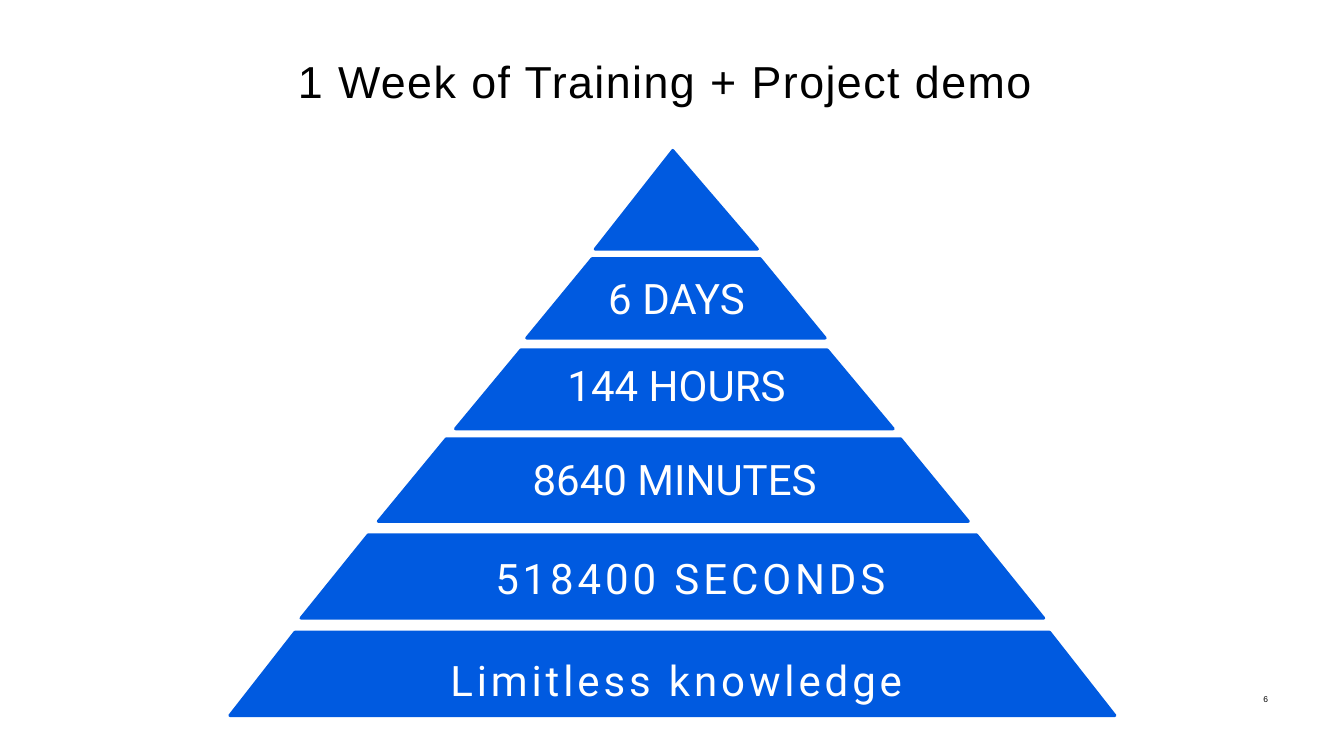
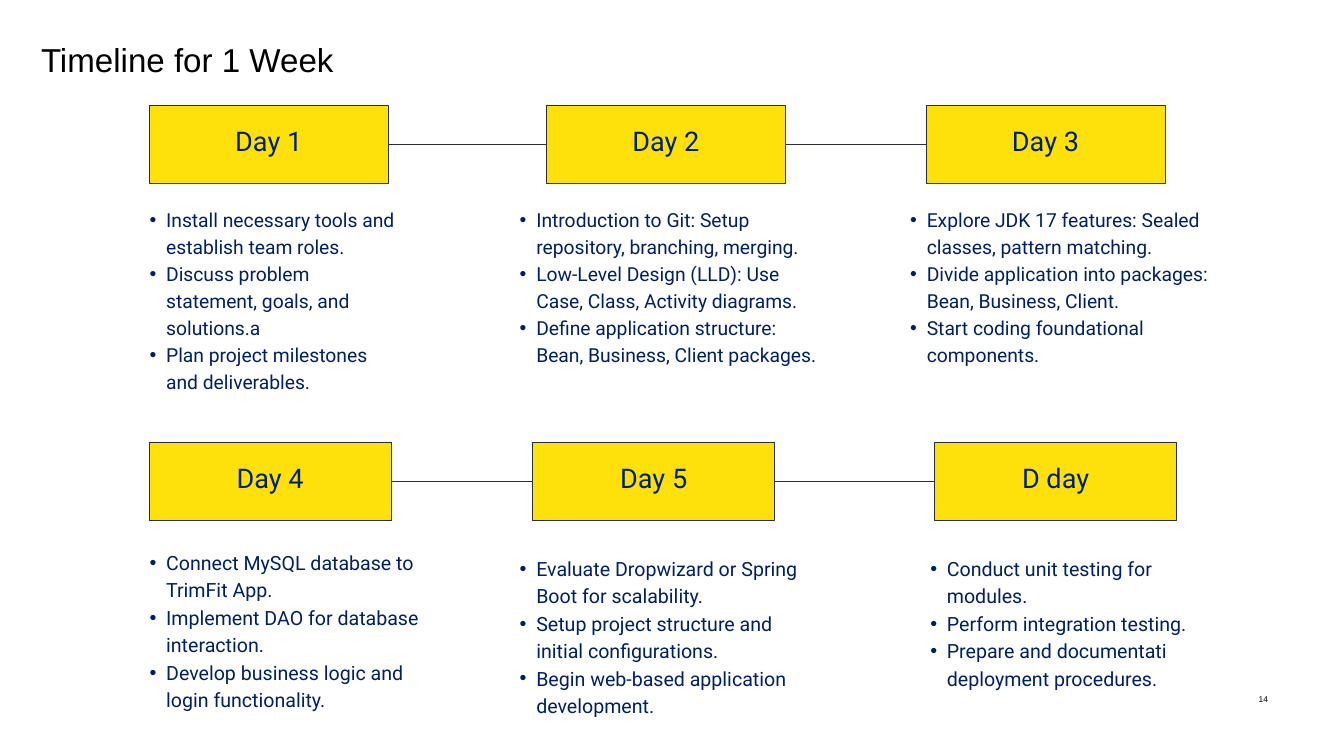
import copy

import lxml.etree
import pptx
import pptx.dml.color
import pptx.enum.shapes
import pptx.enum.text
import pptx.oxml.ns
import pptx.util

Cm, Pt = pptx.util.Cm, pptx.util.Pt
ALIGN = pptx.enum.text.PP_ALIGN
ANCHOR = pptx.enum.text.MSO_ANCHOR
qn = pptx.oxml.ns.qn

COLORS = {"black": "000000", "white": "FFFFFF", "blue": "005AE0",
          "yellow": "FEE10B", "navy": "002060", "line": "2A2E3A"}

# Top edge (left, right, y), then bottom edge (left, right, y), in cm
TIERS = [
    (25.43, 25.43, 5.69, 22.5, 28.63, 9.42),
    (22.38, 28.73, 9.78, 19.91, 31.19, 12.78),
    (19.69, 31.27, 13.23, 17.22, 33.76, 16.21),
    (16.87, 34.04, 16.59, 14.3, 36.6, 19.71),
    (13.92, 36.91, 20.22, 11.38, 39.45, 23.37),
    (11.15, 39.67, 23.9, 8.69, 42.14, 27.05),
]
# Text, centre, top, line height in points, letter spacing in points
TIER_LABELS = [
    ("6 DAYS", 25.57, 10.31, 54, 0),
    ("144 HOURS", 25.57, 13.59, 54, 0),
    ("8640 MINUTES", 25.5, 17.15, 54, 0),
    ("518400 SECONDS", 26.1, 20.7, 59.4, 4.2),
    ("Limitless knowledge", 25.57, 24.56, 59.4, 4.2),
]
# Each day: name, box left, list (left, top, width), tasks
WEEK_ROWS = [
    dict(top=3.99, box=(9.04, 2.95), list_height=8.03, size=20.7, days=[
        ("Day 1", 5.64, (5.03, 7.72, 10.24), [
            "Install necessary tools and establish team roles.",
            "Discuss problem statement, goals, and solutions.a",
            "Plan project milestones and deliverables."]),
        ("Day 2", 20.65, (19.02, 7.72, 11.99), [
            "Introduction to Git: Setup repository, branching, merging.",
            "Low-Level Design (LLD): Use Case, Class, Activity diagrams.",
            "Define application structure: Bean, Business, Client packages."]),
        ("Day 3", 35, (33.78, 7.72, 12.83), [
            "Explore JDK 17 features: Sealed classes, pattern matching.",
            "Divide application into packages: Bean, Business, Client.",
            "Start coding foundational components."]),
    ]),
    dict(top=16.71, box=(9.14, 2.98), list_height=7.19, size=21, days=[
        ("Day 4", 5.64, (5.03, 20.68, 10.97), [
            "Connect MySQL database to TrimFit App.",
            "Implement DAO for database interaction.",
            "Develop business logic and login functionality."]),
        ("Day 5", 20.14, (19.02, 20.9, 11.99), [
            "Evaluate Dropwizard or Spring Boot for scalability.",
            "Setup project structure and initial configurations.",
            "Begin web-based application development."]),
        ("D day", 35.33, (34.54, 20.9, 11.07), [
            "Conduct unit testing for modules.",
            "Perform integration testing.",
            "Prepare and documentati deployment procedures."]),
    ]),
]


def rgb(name):
    return pptx.dml.color.RGBColor.from_string(COLORS[name])


def place(sp, x, y, w, h):
    sp.left, sp.top, sp.width, sp.height = Cm(x), Cm(y), Cm(w), Cm(h)


def add_bullet(p, indent):
    pPr = p._p.get_or_add_pPr()
    pPr.set("marL", str(Cm(indent)))
    pPr.set("indent", str(-Cm(indent / 2)))
    lxml.etree.SubElement(pPr, qn("a:buFont"), typeface="Arial")
    lxml.etree.SubElement(pPr, qn("a:buChar"), char="•")


def put_text(sp, *texts, size, leading, font="Roboto", color="navy",
             align=ALIGN.LEFT, anchor=ANCHOR.TOP, spacing=0, bullet=None,
             margins=(0, 0, 0, 0)):
    """Write one paragraph per text; margins are left, top, right, bottom in cm."""
    tf = sp.text_frame
    tf.word_wrap = True
    tf.auto_size = pptx.enum.text.MSO_AUTO_SIZE.NONE
    tf.vertical_anchor = anchor
    (tf.margin_left, tf.margin_top,
     tf.margin_right, tf.margin_bottom) = map(Cm, margins)
    for i, text in enumerate(texts):
        p = tf.add_paragraph() if i else tf.paragraphs[0]
        if bullet:
            add_bullet(p, bullet)
        p.alignment = align
        p.line_spacing = Pt(leading)
        p.space_before = p.space_after = Pt(0)
        r = p.add_run()
        r.text = text
        r.font.name, r.font.size = font, Pt(size)
        r.font.color.rgb = rgb(color)
        if spacing:
            r._r.get_or_add_rPr().set("spc", str(round(spacing * 100)))


def add_text(slide, text, box, **fmt):
    put_text(slide.shapes.add_textbox(*map(Cm, box)), text, **fmt)


def add_title(slide, text, box, **fmt):
    place(slide.shapes.title, *box)
    put_text(slide.shapes.title, text, font="Arial", color="black", **fmt)


def add_page_number(slide, number):
    add_text(slide, str(number), (46.79, 26.26, 1.14, 0.41), size=9,
             leading=10.8, font="Arial", color="black", align=ALIGN.RIGHT)


def paint(sp, fill, line, width):
    sp.shadow.inherit = False
    sp.fill.solid()
    sp.fill.fore_color.rgb = rgb(fill)
    sp.line.color.rgb = rgb(line)
    sp.line.width = Pt(width)


def add_tier(slide, top_left, top_right, top, left, right, bottom):
    corners = [(left, bottom), (top_left, top), (top_right, top), (right, bottom)]
    points = [(Cm(x), Cm(y)) for x, y in corners]
    builder = slide.shapes.build_freeform(*points[0], scale=1.0)
    builder.add_line_segments(points[1:], close=True)
    sp = builder.convert_to_shape()
    paint(sp, "blue", "blue", 3.25)
    lxml.etree.SubElement(sp.line._get_or_add_ln(), qn("a:round"))


def build_pyramid_slide(prs):
    slide = prs.slides.add_slide(prs.slide_layouts[5])
    add_title(slide, "1 Week of Training + Project demo", (0, 1.83, 50.3, 4.37),
              size=48, leading=63.4, align=ALIGN.CENTER, spacing=1.6)
    for tier in TIERS:
        add_tier(slide, *tier)
    width = 24
    for text, centre, top, leading, spacing in TIER_LABELS:
        add_text(slide, text, (centre - width / 2, top, width, 2), size=45,
                 leading=leading, color="white", align=ALIGN.CENTER, spacing=spacing)
    add_page_number(slide, 6)


def make_week_layout(prs, lists):
    """Give the title and content layout one body placeholder per list."""
    layout = prs.slide_layouts[1]
    body = layout.placeholders[1].element
    for n in range(1, lists):
        twin = copy.deepcopy(body)
        twin.xpath(".//p:cNvPr")[0].set("id", str(100 + n))
        twin.xpath(".//p:ph")[0].set("idx", str(20 + n))
        body.addnext(twin)
    return layout


def add_day_box(slide, name, box):
    sp = slide.shapes.add_shape(pptx.enum.shapes.MSO_SHAPE.RECTANGLE, *map(Cm, box))
    paint(sp, "yellow", "line", 0.75)
    put_text(sp, name, size=29, leading=40.6, align=ALIGN.CENTER,
             anchor=ANCHOR.MIDDLE, margins=(0.15, 0.15, 0.15, 0.66))
    return sp


def join(slide, start, end):
    line = slide.shapes.add_connector(pptx.enum.shapes.MSO_CONNECTOR.STRAIGHT, 0, 0, 0, 0)
    line.begin_connect(start, 3)
    line.end_connect(end, 1)
    line.line.color.rgb = rgb("line")
    line.line.width = Pt(0.75)
    lxml.etree.SubElement(line._element.spPr, qn("a:effectLst"))


def add_week_row(slide, bodies, top, box, list_height, size, days):
    boxes = []
    for name, left, (x, y, w), tasks in days:
        boxes.append(add_day_box(slide, name, (left, top, *box)))
        body = next(bodies)
        place(body, x, y, w, list_height)
        put_text(body, *tasks, size=size, leading=size * 1.4, bullet=1.25)
    for start, end in zip(boxes, boxes[1:]):
        join(slide, start, end)


def build_week_slide(prs):
    layout = make_week_layout(prs, sum(len(row["days"]) for row in WEEK_ROWS))
    slide = prs.slides.add_slide(layout)
    add_title(slide, "Timeline for 1 Week", (1.55, 1.32, 45.09, 1.6),
              size=35.5, leading=46.9)
    bodies = iter(list(slide.placeholders)[1:])
    for row in WEEK_ROWS:
        add_week_row(slide, bodies, **row)
    add_page_number(slide, 14)


def main():
    prs = pptx.Presentation()
    prs.slide_width, prs.slide_height = Cm(50.8), Cm(28.58)
    build_pyramid_slide(prs)
    build_week_slide(prs)
    prs.save("out.pptx")


if __name__ == "__main__":
    main()
